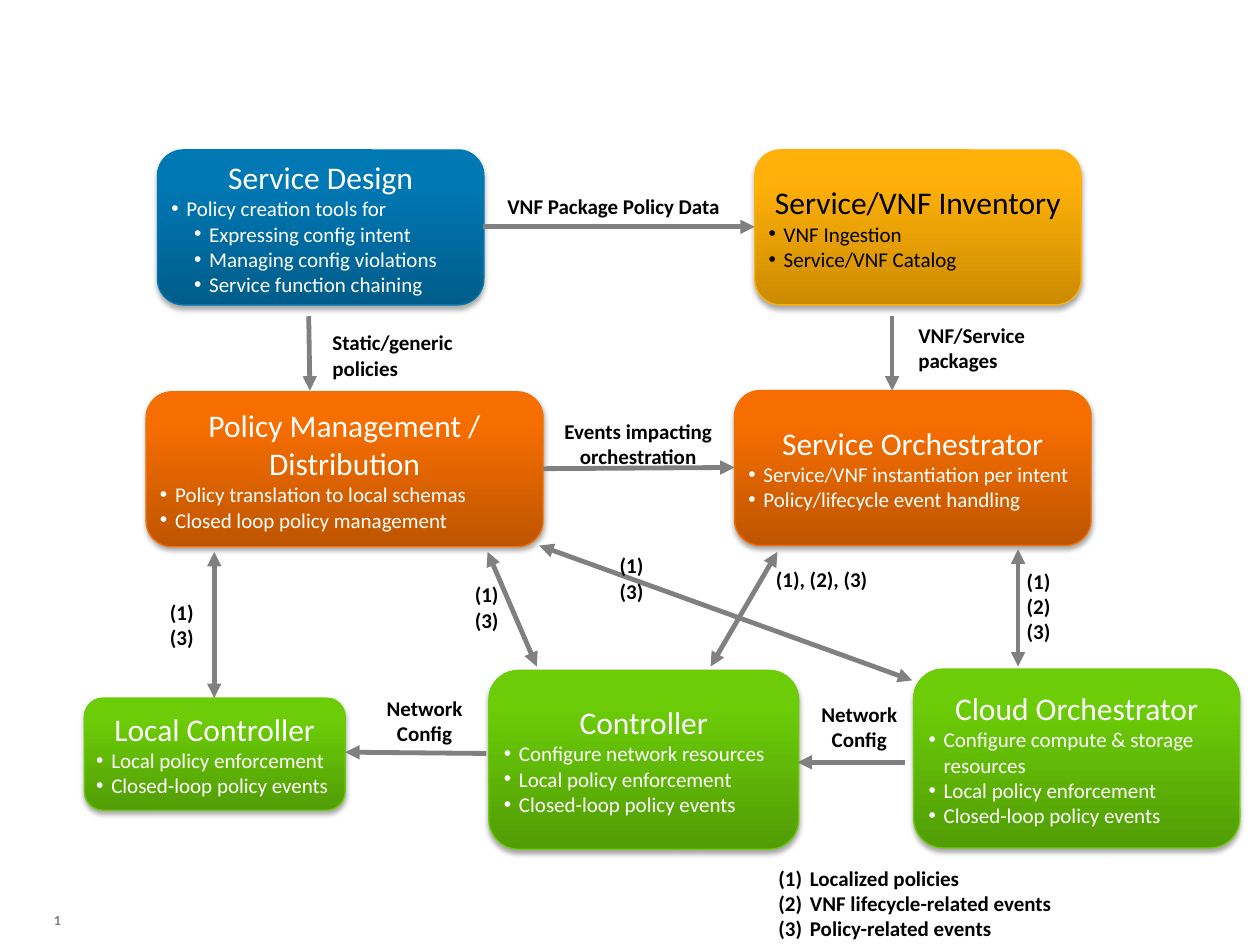
"""Build the policy architecture slide with its boxes, arrows and labels."""
from lxml.etree import SubElement as Sub
from pptx import Presentation
from pptx.dml.color import RGBColor as Rgb
from pptx.enum.shapes import MSO_CONNECTOR as Conn, MSO_SHAPE as Geo
from pptx.enum.text import MSO_ANCHOR as Anchor, PP_ALIGN as Align
from pptx.oxml.ns import qn
from pptx.util import Inches, Pt

WIDE, HIGH = Inches(10), Inches(7.5)
COLS, ROWS = 100, 75
FONT = "Calibri"
HEX = {
    "white": "FFFFFF", "black": "000000", "gray": "808080",
    "blue": "0078B4", "blue low": "005D8B",
    "gold": "FFB109", "gold low": "CB8B00",
    "orange": "F76E00", "orange low": "BE5500",
    "green": "6BCC07", "green low": "529D06",
}

BOXES = [
    ("Controller", "green", "white", (38.8, 53.2, 24.6, 14.2),
     ["Configure network resources", "Local policy enforcement",
      "Closed-loop policy events"], []),
    ("Cloud Orchestrator", "green", "white", (72.5, 53.1, 25.9, 14.2),
     ["Configure compute & storage resources", "Local policy enforcement",
      "Closed-loop policy events"], []),
    ("Policy Management / Distribution", "orange", "white",
     (11.6, 31.1, 31.5, 12.3),
     ["Policy translation to local schemas",
      "Closed loop policy management"], []),
    ("Service Design", "blue", "white", (12.5, 11.9, 25.9, 12.3),
     ["Policy creation tools for"],
     ["Expressing config intent", "Managing config violations",
      "Service function chaining"]),
    ("Service/VNF Inventory", "gold", "black", (59.9, 11.9, 25.9, 12.3),
     ["VNF Ingestion", "Service/VNF Catalog"], []),
    ("Service Orchestrator", "orange", "white", (58.3, 31, 28.3, 12.3),
     ["Service/VNF instantiation per intent",
      "Policy/lifecycle event handling"], []),
    ("Local Controller", "green", "white", (6.7, 55.4, 20.7, 8.9),
     ["Local policy enforcement", "Closed-loop policy events"], []),
]

ONE_WAY = [
    (38.3, 18, 59.9, 18), (43.1, 37.2, 58.3, 37.1),
    (24.5, 25.1, 24.6, 31), (70.8, 25.1, 70.8, 31),
    (38.6, 59.8, 27.4, 59.7), (71.8, 60.5, 63.3, 60.5),
]
TWO_WAY = [
    (17, 43.8, 17, 55.4), (38.7, 43.8, 42.6, 52.9),
    (61.7, 43.8, 56.4, 52.9), (80.8, 43.6, 80.8, 52.9),
    (42.8, 43.3, 72.4, 54),
]

LABELS = [
    (["Static/generic policies"], Align.LEFT, (25.4, 25.7, 12.6, 5)),
    (["Events impacting orchestration"], Align.CENTER, (43.1, 32.7, 15.1, 5)),
    (["Network Config"], Align.CENTER, (29.4, 54.7, 8.6, 5)),
    (["Network Config"], Align.CENTER, (63.9, 55.2, 8.6, 5)),
    (["VNF Package Policy Data"], Align.CENTER, (38.6, 14.9, 20.2, 3)),
    (["VNF/Service packages"], Align.LEFT, (71.9, 25.1, 12.6, 5)),
    (["(1)", "(3)"], Align.LEFT, (12.5, 47.1, 4.5, 5)),
    (["(1)", "(3)"], Align.LEFT, (36.7, 45.7, 4.5, 5)),
    (["(1)", "(3)"], Align.LEFT, (48.2, 43.4, 4.5, 5)),
    (["(1), (2), (3)"], Align.LEFT, (60.6, 44.5, 11.1, 3)),
    (["(1)", "(2)", "(3)"], Align.LEFT, (80.5, 44.6, 4.5, 7.1)),
]
LEGEND = ["Localized policies", "VNF lifecycle-related events",
          "Policy-related events"]


def place(*grid):
    """Turn grid columns and rows into slide lengths."""
    return [int(v * (HIGH / ROWS if i % 2 else WIDE / COLS))
            for i, v in enumerate(grid)]


def put(frame, text, size=12, color="black", bold=False, align=Align.LEFT,
        mark=None, left=0.0, hang=0.12, level=0):
    """Add one paragraph, with a dot or number when mark is set."""
    para = frame.add_paragraph() if frame.text else frame.paragraphs[0]
    para.alignment, para.level = align, level
    run = para.add_run()
    run.text = text
    font = run.font
    font.name, font.size, font.bold = FONT, Pt(size), bold
    font.color.rgb = Rgb.from_string(HEX[color])
    if mark:
        props = para._p.get_or_add_pPr()
        props.set("marL", str(Inches(left)))
        props.set("indent", str(-Inches(hang)))
        if mark == "dot":
            Sub(props, qn("a:buFont"), typeface="Arial")
            Sub(props, qn("a:buChar"), char="•")
        else:
            Sub(props, qn("a:buAutoNum"), type=mark)


def add_box(slide, title, hue, ink, grid, items, subs):
    """Draw one shaded component box with its bullets."""
    box = slide.shapes.add_shape(Geo.ROUNDED_RECTANGLE, *place(*grid))
    box.fill.gradient()
    box.fill.gradient_angle = 90
    for stop, name, spot in zip(box.fill.gradient_stops,
                                (hue + " low", hue), (0, 0.8)):
        stop.color.rgb = Rgb.from_string(HEX[name])
        stop.position = spot
    box.line.color.rgb = Rgb.from_string(HEX[hue])
    box.line.width = Pt(0.75)
    box.shadow.inherit = False
    glow = Sub(box.element.spPr.find(qn("a:effectLst")), qn("a:outerShdw"),
               blurRad=str(Pt(3.1)), dist=str(Pt(1.8)), dir="5400000",
               rotWithShape="0")
    tone = Sub(glow, qn("a:srgbClr"), val=HEX["black"])
    Sub(tone, qn("a:alpha"), val="35000")
    frame = box.text_frame
    frame.word_wrap, frame.vertical_anchor = True, Anchor.MIDDLE
    frame.margin_left = frame.margin_right = Inches(0.05)
    frame.margin_top = frame.margin_bottom = Inches(0.05)
    put(frame, title, size=18, color=ink, align=Align.CENTER)
    for item in items:
        put(frame, item, color=ink, mark="dot", left=0.12)
    for item in subs:
        put(frame, item, color=ink, mark="dot", left=0.3, level=1)


def add_arrow(slide, ends, both):
    """Draw a gray arrow with one or two heads."""
    arrow = slide.shapes.add_connector(Conn.STRAIGHT, *place(*ends))
    arrow.line.color.rgb = Rgb.from_string(HEX["gray"])
    arrow.line.width = Pt(2.75)
    props = arrow.element.spPr
    for tip in ("a:headEnd", "a:tailEnd") if both else ("a:tailEnd",):
        Sub(props.find(qn("a:ln")), qn(tip), type="triangle")
    Sub(props, qn("a:effectLst"))


def add_text(slide, lines, grid, anchor=Anchor.TOP, **look):
    """Add a wrapped text box with one paragraph per line."""
    frame = slide.shapes.add_textbox(*place(*grid)).text_frame
    frame.word_wrap, frame.vertical_anchor = True, anchor
    for line in lines:
        put(frame, line, bold=True, **look)


def main():
    """Assemble and save the slide."""
    deck = Presentation()
    deck.slide_width, deck.slide_height = WIDE, HIGH
    slide = deck.slides.add_slide(deck.slide_layouts[6])
    add_text(slide, ["1"], (3.3, 71, 3.7, 4), anchor=Anchor.MIDDLE,
             size=8, color="gray")
    for box in BOXES:
        add_box(slide, *box)
    for ends in ONE_WAY:
        add_arrow(slide, ends, False)
    for ends in TWO_WAY:
        add_arrow(slide, ends, True)
    for lines, align, grid in LABELS:
        add_text(slide, lines, grid, align=align)
    add_text(slide, LEGEND, (60.8, 68.2, 25, 7.1), mark="arabicParenBoth",
             left=0.25, hang=0.25)
    deck.save("out.pptx")


if __name__ == "__main__":
    main()
